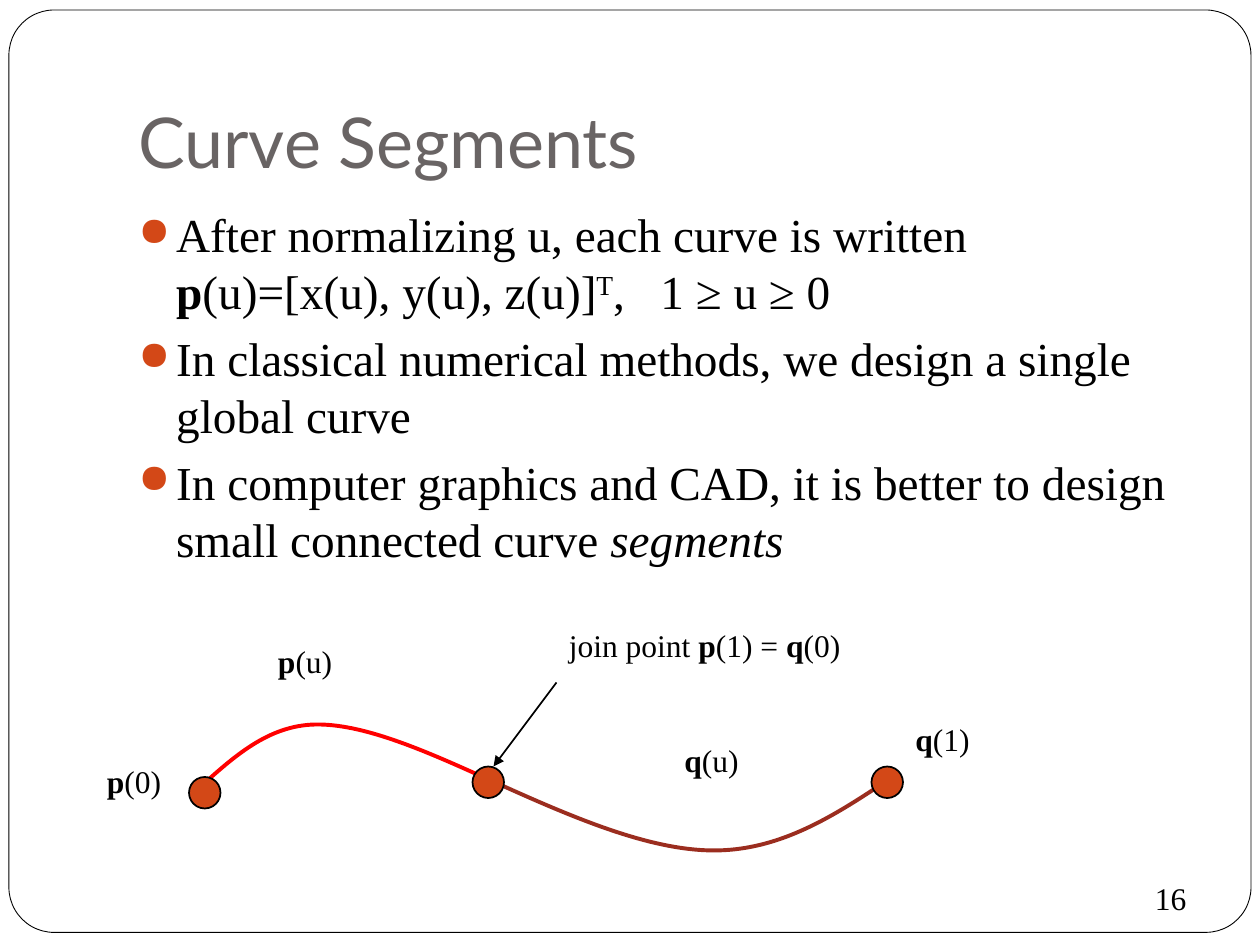
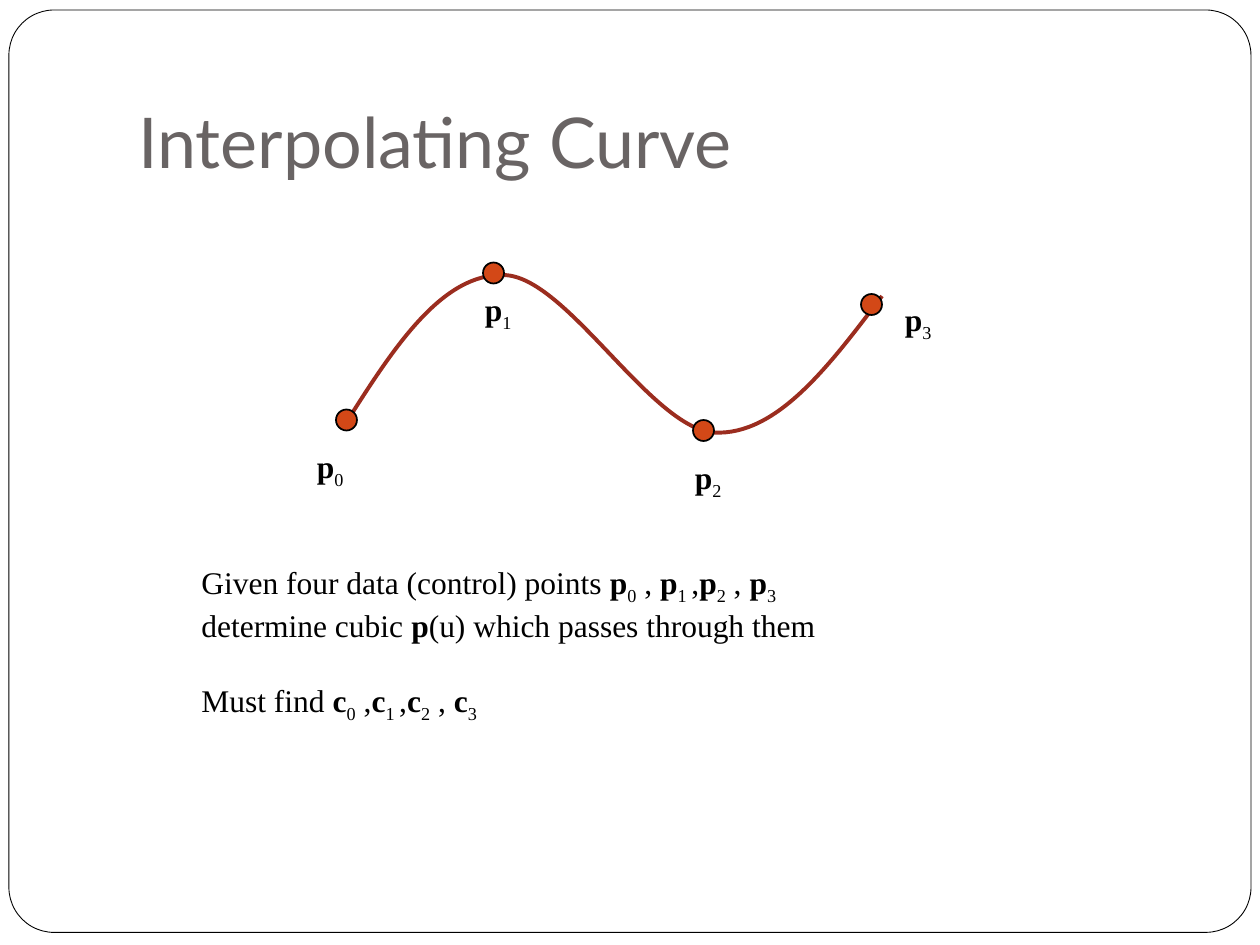
from dataclasses import dataclass

from lxml.etree import SubElement
from pptx import Presentation
from pptx.dml.color import RGBColor
from pptx.enum.shapes import MSO_CONNECTOR as Connector, MSO_SHAPE as Preset
from pptx.enum.text import MSO_ANCHOR as Anchor
from pptx.oxml.ns import qn
from pptx.util import Inches, Pt


@dataclass(frozen=True)
class Theme:
    heading_font: str = "Lato"
    text_font: str = "Times New Roman"
    title_size: float = 40
    body_size: float = 27
    label_size: float = 18
    paper: str = "FFFFFF"
    ink: str = "000000"
    heading: str = "696464"
    accent: str = "D34817"
    first_curve: str = "FF0000"
    curve: str = "9B2D1F"
    frame_line: float = 0.5
    thin_line: float = 1
    curve_line: float = 2.25


THEME = Theme()
CELL = Inches(1) // 12  # the slide is a grid of 120 columns by 90 rows
COLUMNS, ROWS = 120, 90


@dataclass(frozen=True)
class Box:
    """A region of the slide, in grid cells."""
    left: float
    top: float
    width: float
    height: float

    def inner(self, left, top, width, height):
        return Box(self.left + left, self.top + top, width, height)

    def point(self, column, row):
        return round((self.left + column) * CELL), round((self.top + row) * CELL)

    def emu(self):
        return (*self.point(0, 0), round(self.width * CELL), round(self.height * CELL))


TITLE_BOX = Box(12, 3.6, 102, 15)
BODY_BOX = Box(12, 19, 102, 60)
PAGE_BOX = Box(110, 83, 4, 5)
SEGMENTS_BOX = Box(9, 59, 81, 22)
INTERPOLATION_BOX = Box(29, 25, 62, 23)
TASK_BOX = Box(18, 53, 80, 20.4)


# Text: a paragraph is a list of (text, style) runs
STYLES = {"bold": {"b": "1"}, "italic": {"i": "1"},
          "super": {"baseline": "30000"}, "sub": {"baseline": "-25000"}}


def color(value):
    return RGBColor.from_string(value)


def indexed(letter, index):
    return [(letter, "bold"), (str(index), "sub")]


def of(letter, argument):
    return [(letter, "bold"), (f"({argument})", "")]


def add_runs(paragraph, runs, size, font=THEME.text_font, ink=THEME.ink):
    for text, style in runs:
        if text == "\n":
            paragraph.add_line_break()
            continue
        run = paragraph.add_run()
        run.text = text
        run.font.name, run.font.size = font, Pt(size)
        run.font.color.rgb = color(ink)
        for name, value in STYLES.get(style, {}).items():
            run.font._element.set(name, value)


def add_text(slide, box, paragraphs, size, **look):
    frame = slide.shapes.add_textbox(*box.emu()).text_frame
    frame.word_wrap = True
    for number, runs in enumerate(paragraphs):
        paragraph = frame.add_paragraph() if number else frame.paragraphs[0]
        add_runs(paragraph, runs, size, **look)
    return frame


def add_bullet(paragraph):
    properties = paragraph._p.get_or_add_pPr()
    properties.set("marL", str(Inches(0.3)))
    properties.set("indent", str(-Inches(0.3)))
    bullet_color = SubElement(properties, qn("a:buClr"))
    SubElement(bullet_color, qn("a:srgbClr")).set("val", THEME.accent)
    SubElement(properties, qn("a:buSzPct")).set("val", "85000")
    SubElement(properties, qn("a:buChar")).set("char", "●")


# Drawing
def add_preset(slide, preset, box, fill, line_width):
    shape = slide.shapes.add_shape(preset, *box.emu())
    shape.shadow.inherit = False
    shape.fill.solid()
    shape.fill.fore_color.rgb = color(fill)
    shape.line.color.rgb = color(THEME.ink)
    shape.line.width = Pt(line_width)
    return shape


def add_curve(slide, box, points, line_color):
    """Start point, then two handles and an end point for each cubic arc."""
    start, *rest = [box.point(*point) for point in points]
    builder = slide.shapes.build_freeform(*start)
    builder.add_line_segments(rest, close=False)
    shape = builder.convert_to_shape()
    steps = list(shape._element.iter(qn("a:lnTo")))
    for first in range(0, len(steps), 3):
        arc = SubElement(steps[first].getparent(), qn("a:cubicBezTo"))
        for step in steps[first:first + 3]:
            arc.append(step[0])
            step.getparent().remove(step)
    shape.shadow.inherit = False
    shape.fill.background()
    shape.line.color.rgb = color(line_color)
    shape.line.width = Pt(THEME.curve_line)


def add_dots(slide, box, corners, size):
    for column, row in corners:
        add_preset(slide, Preset.OVAL, box.inner(column, row, size, size),
                   THEME.accent, THEME.thin_line)


def add_labels(slide, box, labels, width):
    for column, row, runs in labels:
        add_text(slide, box.inner(column, row, width, 6), [runs], THEME.label_size)


def add_arrow(slide, box, tail, tip):
    arrow = slide.shapes.add_connector(Connector.STRAIGHT, *box.point(*tail), *box.point(*tip))
    arrow.line.color.rgb = color(THEME.ink)
    arrow.line.width = Pt(THEME.thin_line)
    SubElement(arrow.line._get_or_add_ln(), qn("a:tailEnd")).set("type", "triangle")
    SubElement(arrow._element.spPr, qn("a:effectLst"))


# Regions
def add_base(presentation, title):
    slide = presentation.slides.add_slide(presentation.slide_layouts[6])
    border = Box(0.85, 0.95, COLUMNS - 1.7, ROWS - 2.15)
    frame = add_preset(slide, Preset.ROUNDED_RECTANGLE, border, THEME.paper, THEME.frame_line)
    frame.adjustments[0] = 0.049
    heading = add_text(slide, TITLE_BOX, [[(title, "")]], THEME.title_size,
                       font=THEME.heading_font, ink=THEME.heading)
    heading.vertical_anchor = Anchor.BOTTOM
    heading.margin_bottom = Inches(0.1)
    return slide


def add_page_number(slide, box, number):
    frame = add_text(slide, box, [[(str(number), "")]], THEME.label_size)
    frame.vertical_anchor = Anchor.MIDDLE
    frame.margin_left = frame.margin_right = frame.margin_top = frame.margin_bottom = 0


def add_bullets(slide, box, items):
    frame = add_text(slide, box, items, THEME.body_size)
    for paragraph in frame.paragraphs:
        paragraph.space_before = Pt(5.8)
        add_bullet(paragraph)


def draw_segments(slide, box):
    add_curve(slide, box, [(10, 16), (13.25, 13.1), (16.5, 10.1), (21, 10),
                           (25.5, 9.9), (31.25, 12.4), (37, 15)], THEME.first_curve)
    add_curve(slide, box, [(37, 15), (44.75, 18.5), (52.5, 22), (59, 22),
                           (65.5, 22), (70.75, 18.5), (76, 15)], THEME.curve)
    add_dots(slide, box, [(36, 14), (9, 15), (74, 14)], size=3)
    add_labels(slide, box, [(16.3, 1.6, of("p", "u")), (55, 11, of("q", "u")),
                            (0, 13, of("p", 0)), (77, 9, of("q", 1))], width=9.4)
    add_arrow(slide, box, (44, 6), (38, 14))
    join = [("join point ", ""), ("p", "bold"), ("(1) = ", ""), *of("q", 0)]
    add_labels(slide, box, [(44, 0, join)], width=37)


def draw_interpolation(slide, box):
    add_curve(slide, box, [(4, 15.2), (8.5, 8.1), (13.1, 1), (19, 1.2), (24.9, 1.3),
                           (33, 15.8), (39, 16.2), (45, 16.5), (50, 9.8), (55, 3.2)],
              THEME.curve)
    add_dots(slide, box, [(3, 14), (17, 0), (37, 15), (53, 3)], size=2)
    corners = [(0, 17), (16, 2), (36, 18), (56, 3)]
    add_labels(slide, box, [(*corner, indexed("p", index))
                            for index, corner in enumerate(corners)], width=6)


def series(letter, first_gap):
    """Four indexed letters with the separators between them."""
    runs = []
    for index, gap in enumerate([first_gap, ",", " , ", ""]):
        runs += [(letter, "bold"), ("1 " if index == 1 else str(index), "sub")]
        if gap:
            runs.append((gap, ""))
    return runs


def add_task(slide, box):
    frame = add_text(slide, box, [
        [("Given four data (control) points ", ""), *series("p", " , ")],
        [("determine cubic ", ""), ("p", "bold"), ("(u) which passes through them", "")],
        [("Must find ", ""), *series("c", " ,")],
    ], THEME.label_size)
    frame.paragraphs[-1].space_before = Pt(21.5)


# Slides
def build_segments_slide(presentation):
    slide = add_base(presentation, "Curve Segments")
    add_page_number(slide, PAGE_BOX, 16)
    add_bullets(slide, BODY_BOX, [
        [("After normalizing u, each curve is written ", ""), ("\n", ""), ("p", "bold"),
         ("(u)=[x(u), y(u), z(u)]", ""), ("T", "super"), (",   1 ≥ u ≥ 0", "")],
        [("In classical numerical methods, we design a single global curve", "")],
        [("In computer graphics and CAD, it is better to design small connected curve ", ""),
         ("segments", "italic")],
    ])
    draw_segments(slide, SEGMENTS_BOX)


def build_interpolation_slide(presentation):
    slide = add_base(presentation, "Interpolating Curve")
    draw_interpolation(slide, INTERPOLATION_BOX)
    add_task(slide, TASK_BOX)


def main():
    presentation = Presentation()
    presentation.slide_width = COLUMNS * CELL
    presentation.slide_height = ROWS * CELL
    build_segments_slide(presentation)
    build_interpolation_slide(presentation)
    presentation.save("out.pptx")


if __name__ == "__main__":
    main()
